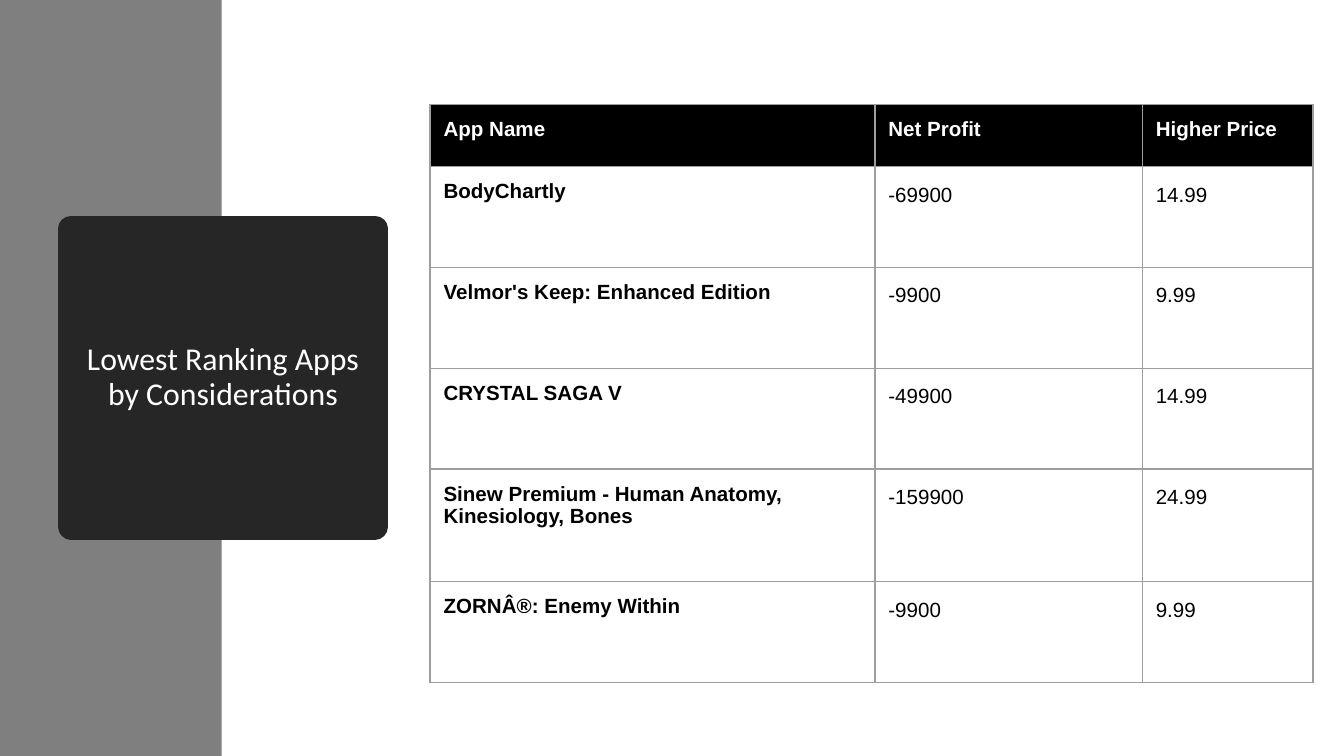
from dataclasses import dataclass

from lxml import etree
from pptx import Presentation
from pptx.dml.color import RGBColor
from pptx.enum.shapes import MSO_SHAPE
from pptx.enum.text import MSO_ANCHOR, PP_ALIGN
from pptx.oxml.ns import qn
from pptx.util import Inches, Pt

RECTANGLE = MSO_SHAPE.RECTANGLE
MIDDLE = MSO_ANCHOR.MIDDLE
CENTER = PP_ALIGN.CENTER

SLIDE_WIDTH = 10
SLIDE_HEIGHT = SLIDE_WIDTH * 9 / 16


@dataclass(frozen=True)
class Theme:
    white: str = "FFFFFF"
    black: str = "000000"
    band: str = "7F7F7F"
    title_box: str = "262626"
    grid: str = "9E9E9E"
    title_font: str = "Calibri"
    table_font: str = "Arial"
    title_size: float = 17
    table_size: float = 11
    title_outline: float = 13.75
    grid_width: float = 0.75


THEME = Theme()

HEADERS = ("App Name", "Net Profit", "Higher Price")
APPS = (
    ("BodyChartly", "-69900", "14.99"),
    ("Velmor's Keep: Enhanced Edition", "-9900", "9.99"),
    ("CRYSTAL SAGA V", "-49900", "14.99"),
    ("Sinew Premium - Human Anatomy, Kinesiology, Bones", "-159900", "24.99"),
    ("ZORNÂ®: Enemy Within", "-9900", "9.99"),
)
COLUMN_WIDTHS = (3.31, 1.99, 1.27)
ROW_HEIGHTS = (0.46, 0.75, 0.75, 0.75, 0.84, 0.75)


def rgb(color):
    return RGBColor.from_string(color)


def add_run(paragraph, text, font, size, color, bold=False):
    run = paragraph.add_run()
    run.text = text
    run.font.name = font
    run.font.size = Pt(size)
    run.font.bold = bold
    run.font.color.rgb = rgb(color)


def add_block(slide, left, top, width, height, color):
    block = slide.shapes.add_shape(
        RECTANGLE, Inches(left), Inches(top), Inches(width), Inches(height))
    block.shadow.inherit = False
    block.fill.solid()
    block.fill.fore_color.rgb = rgb(color)
    block.line.fill.background()
    return block


def add_title_box(slide, text):
    """Add the title square; its thick round-joined outline rounds the corners."""
    box = add_block(slide, 0.53, 1.7, 2.26, 2.22, THEME.title_box)
    box.line.color.rgb = rgb(THEME.title_box)
    box.line.width = Pt(THEME.title_outline)
    outline = box.line._get_or_add_ln()
    etree.SubElement(outline, qn("a:round"))

    frame = box.text_frame
    frame.word_wrap = True
    frame.vertical_anchor = MIDDLE
    frame.margin_left = frame.margin_right = Inches(0.07)
    frame.margin_top = frame.margin_bottom = Inches(0.04)
    paragraph = frame.paragraphs[0]
    paragraph.alignment = CENTER
    paragraph.line_spacing = 0.9
    add_run(paragraph, text, THEME.title_font, THEME.title_size, THEME.white)


def add_cell_borders(cell):
    properties = cell._tc.get_or_add_tcPr()
    for side in ("lnL", "lnR", "lnT", "lnB"):
        border = etree.SubElement(
            properties, qn(f"a:{side}"), w=str(Pt(THEME.grid_width)))
        fill = etree.SubElement(border, qn("a:solidFill"))
        etree.SubElement(fill, qn("a:srgbClr"), val=THEME.grid)


def fill_cell(cell, text, is_header, is_name):
    add_cell_borders(cell)
    if is_header:
        cell.fill.solid()
        cell.fill.fore_color.rgb = rgb(THEME.black)
    else:
        cell.fill.background()
    cell.margin_left = cell.margin_right = Inches(0.1)
    cell.margin_top = cell.margin_bottom = Inches(0.1)

    bold = is_header or is_name
    paragraph = cell.text_frame.paragraphs[0]
    if not bold:
        paragraph.line_spacing = 1.15
    add_run(paragraph, text, THEME.table_font, THEME.table_size,
            THEME.white if is_header else THEME.black, bold)


def add_app_table(slide, left, top):
    rows = (HEADERS, *APPS)
    table = slide.shapes.add_table(
        len(rows), len(HEADERS), Inches(left), Inches(top),
        Inches(sum(COLUMN_WIDTHS)), Inches(sum(ROW_HEIGHTS))).table
    table.first_row = table.horz_banding = False
    for column, width in zip(table.columns, COLUMN_WIDTHS):
        column.width = Inches(width)
    for row, height in zip(table.rows, ROW_HEIGHTS):
        row.height = Inches(height)
    for r, values in enumerate(rows):
        for c, value in enumerate(values):
            fill_cell(table.cell(r, c), value, is_header=r == 0, is_name=c == 0)


def main():
    deck = Presentation()
    deck.slide_width = Inches(SLIDE_WIDTH)
    deck.slide_height = Inches(SLIDE_HEIGHT)
    slide = deck.slides.add_slide(deck.slide_layouts[6])

    add_block(slide, 0, 0, 1.65, SLIDE_HEIGHT, THEME.band)
    add_title_box(slide, "Lowest Ranking Apps by Considerations")
    add_app_table(slide, 3.2, 0.78)

    deck.save("out.pptx")


if __name__ == "__main__":
    main()
